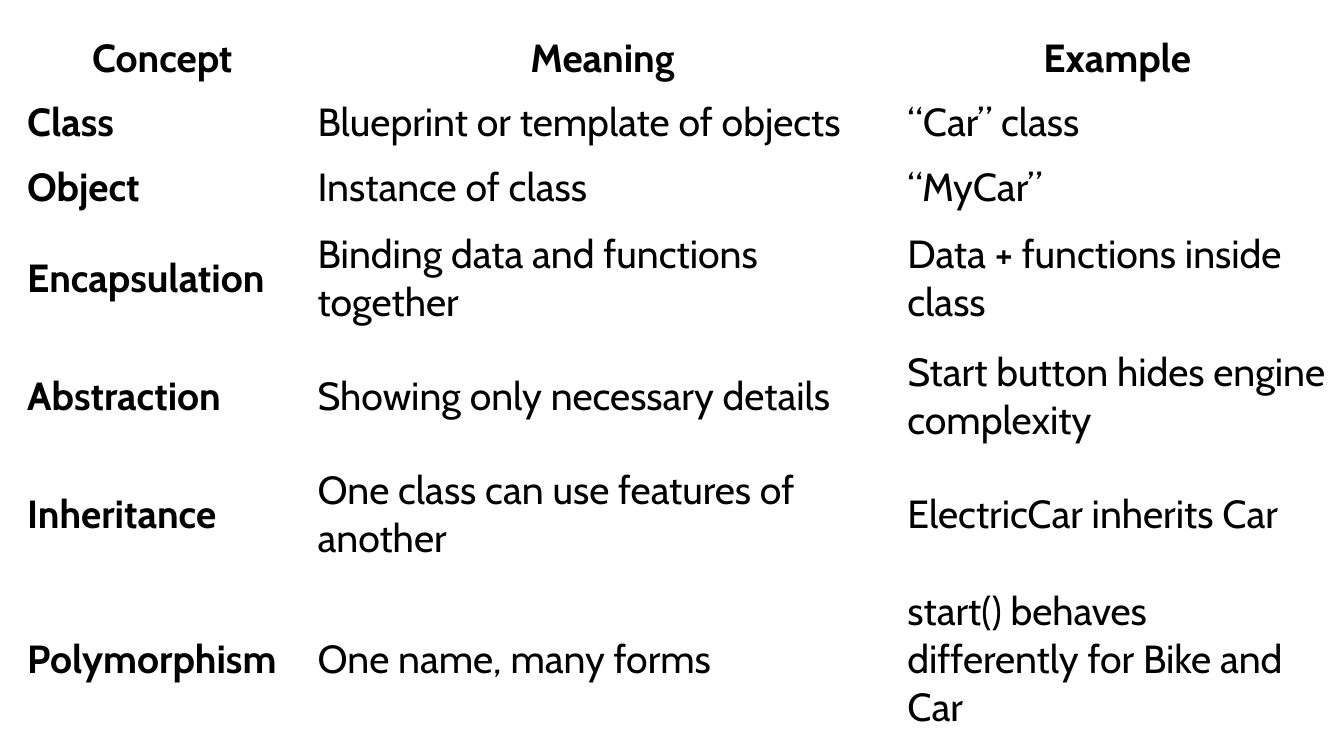
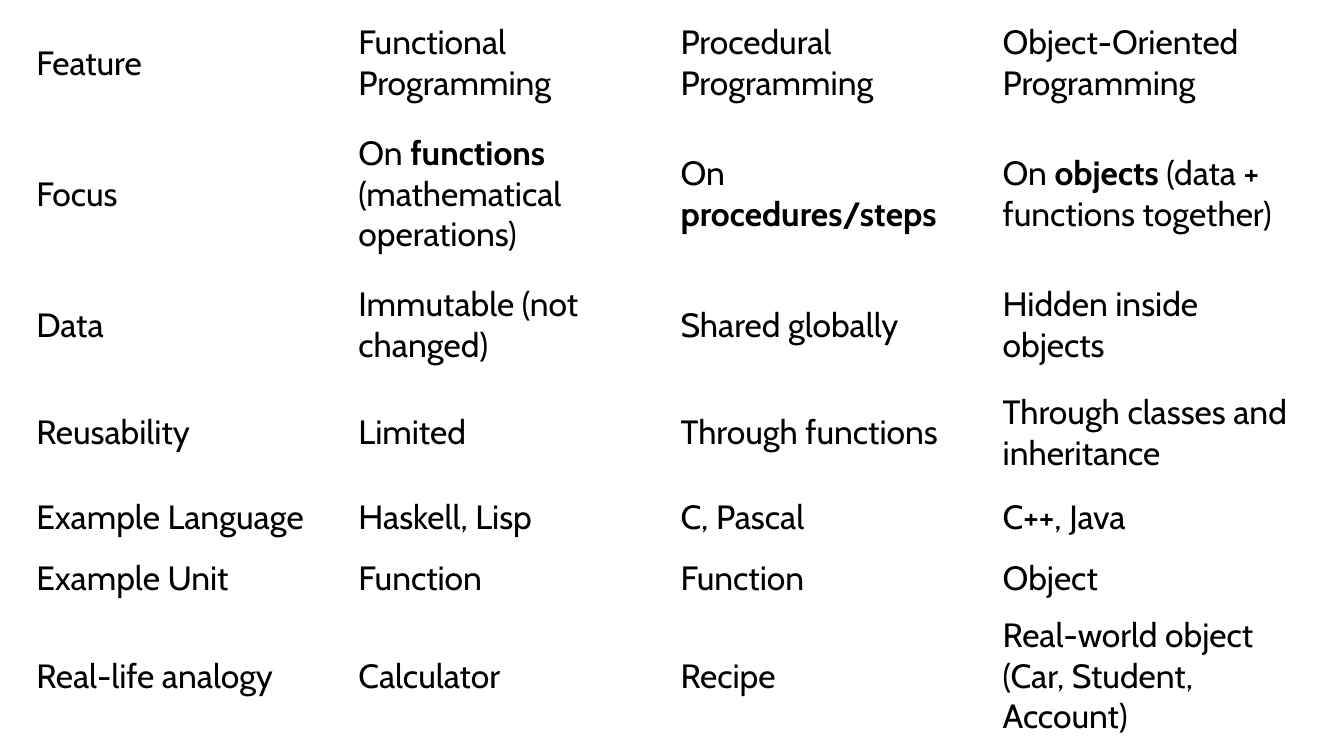
from pptx import Presentation
from pptx.dml.color import RGBColor
from pptx.enum import text
from pptx.util import Inches, Pt

FONT = "Cabin"
INK = "000000"
PAPER = "FFFFFF"

CONCEPTS = [
    ["Concept", "Meaning", "Example"],
    ["Class", "Blueprint or template of objects", "“Car” class"],
    ["Object", "Instance of class", "“MyCar”"],
    ["Encapsulation", "Binding data and functions together",
     "Data + functions inside class"],
    ["Abstraction", "Showing only necessary details",
     "Start button hides engine complexity"],
    ["Inheritance", "One class can use features of another",
     "ElectricCar inherits Car"],
    ["Polymorphism", "One name, many forms",
     "start() behaves differently for Bike and Car"],
]

PARADIGMS = [
    ["Feature", "Functional Programming", "Procedural Programming",
     "Object-Oriented Programming"],
    ["Focus", "On *functions* (mathematical operations)",
     "On *procedures/steps*", "On *objects* (data + functions together)"],
    ["Data", "Immutable (not changed)", "Shared globally",
     "Hidden inside objects"],
    ["Reusability", "Limited", "Through functions",
     "Through classes and inheritance"],
    ["Example Language", "Haskell, Lisp", "C, Pascal", "C++, Java"],
    ["Example Unit", "Function", "Function", "Object"],
    ["Real-life analogy", "Calculator", "Recipe",
     "Real-world object (Car, Student, Account)"],
]


def color(value):
    return RGBColor.from_string(value)


def fill_cell(cell, words, size, bold=False, centred=False):
    cell.fill.solid()
    cell.fill.fore_color.rgb = color(PAPER)
    cell.vertical_anchor = text.MSO_ANCHOR.MIDDLE
    p = cell.text_frame.paragraphs[0]
    p.alignment = text.PP_ALIGN.CENTER if centred else text.PP_ALIGN.LEFT
    for i, part in enumerate(words.split("*")):
        if part:
            r = p.add_run()
            r.text = part
            r.font.name = FONT
            r.font.size = Pt(size)
            r.font.bold = bold or i % 2 == 1
            r.font.color.rgb = color(INK)


def add_grid(s, box, data, widths, heights, size, headings=False):
    frame = s.shapes.add_table(len(data), len(data[0]),
                               *(Inches(v) for v in box))
    table = frame.table
    table.horz_banding = False
    for column, width in zip(table.columns, widths):
        column.width = Inches(width)
    for row, height in zip(table.rows, heights):
        row.height = Inches(height)
    for i, line in enumerate(data):
        for j, words in enumerate(line):
            fill_cell(table.cell(i, j), words, size,
                      bold=headings and (i == 0 or j == 0),
                      centred=headings and i == 0)


def concepts_slide(prs):
    s = prs.slides.add_slide(prs.slide_layouts[6])
    add_grid(s, (0.17, 0.26, 13.09, 7.16), CONCEPTS, [2.88, 5.85, 4.36],
             [0.64] * 3 + [1.17] * 3 + [1.71], 28, headings=True)


def paradigms_slide(prs):
    s = prs.slides.add_slide(prs.slide_layouts[6])
    add_grid(s, (0.26, 0.09, 12.78, 7.25), PARADIGMS, [12.78 / 4] * 4,
             [1.07, 1.53, 1.07, 1.07, 0.61, 0.61, 1.07], 24)


def main():
    prs = Presentation()
    prs.slide_width = Inches(13.33)
    prs.slide_height = Inches(7.5)
    concepts_slide(prs)
    paradigms_slide(prs)
    prs.save("out.pptx")


if __name__ == "__main__":
    main()
